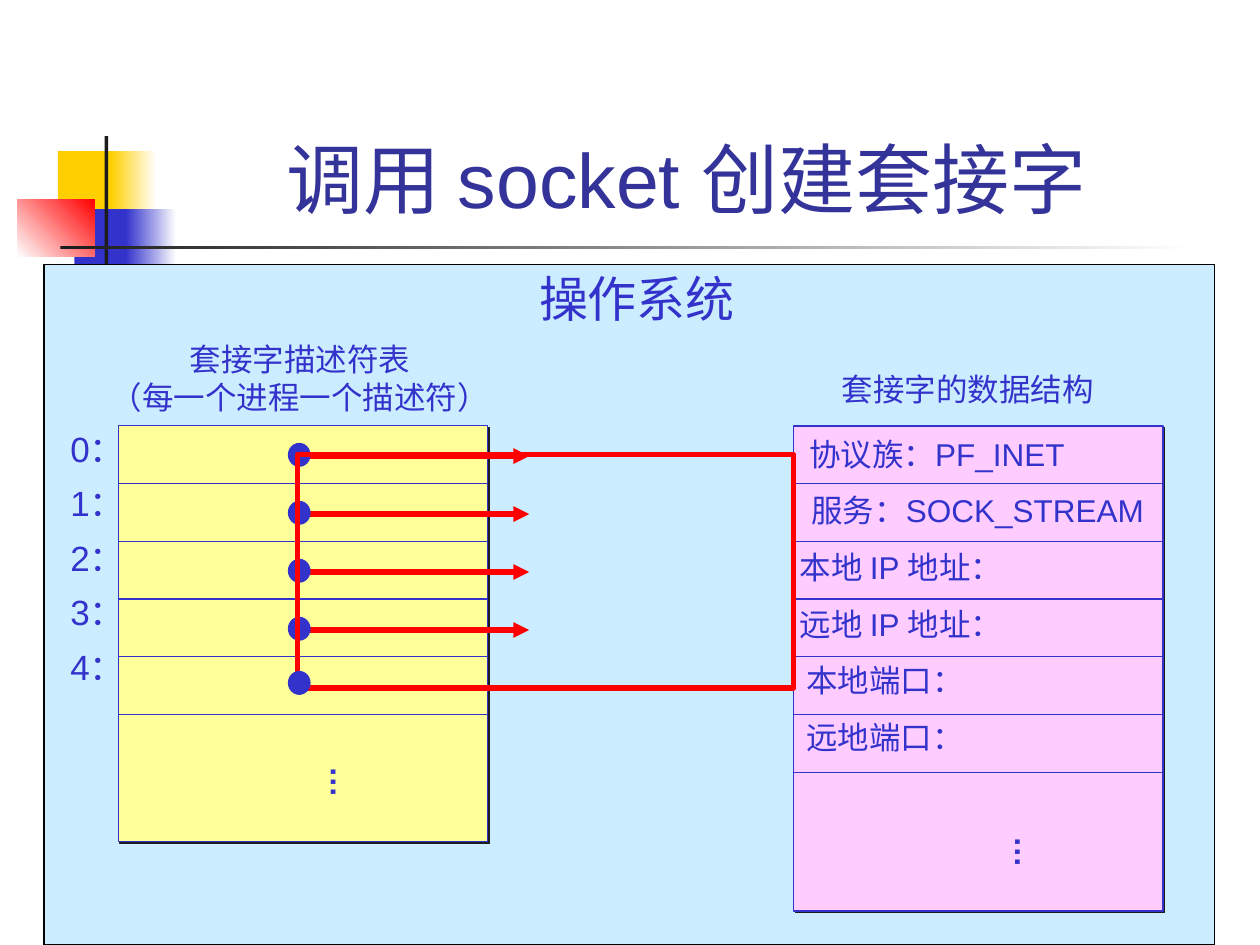
import pptx
import pptx.dml.color
import pptx.enum.shapes
import pptx.enum.text
import pptx.oxml
import pptx.oxml.ns
import pptx.util
from dataclasses import dataclass

Inches = pptx.util.Inches
Pt = pptx.util.Pt
Shapes = pptx.enum.shapes.MSO_SHAPE
Align = pptx.enum.text.PP_ALIGN
Anchor = pptx.enum.text.MSO_ANCHOR
AutoSize = pptx.enum.text.MSO_AUTO_SIZE
NS = pptx.oxml.ns.nsdecls("a")


@dataclass(frozen=True)
class Theme:
    font: str = "Arial"
    white: str = "FFFFFF"
    black: str = "000000"
    dark: str = "1C1C1C"
    gold: str = "FFCF01"
    blue: str = "3333CC"
    title: str = "333399"
    red: str = "FF0000"
    system: str = "CCECFF"
    table: str = "FFFF99"
    structure: str = "FFCCFF"
    title_size: int = 44
    heading_size: int = 28
    index_size: int = 20
    body_size: int = 18
    thin: float = 0.75
    thick: float = 3


def rgb(value):
    return pptx.dml.color.RGBColor.from_string(value)


class Painter:
    def __init__(self, page, theme):
        self.page = page
        self.theme = theme

    def shape(self, left, top, width, height, fill=None, line=None,
              weight=None, kind=Shapes.RECTANGLE):
        item = self.page.shapes.add_shape(
            kind, Inches(left), Inches(top), Inches(width), Inches(height))
        item.shadow.inherit = False
        if fill:
            item.fill.solid()
            item.fill.fore_color.rgb = rgb(fill)
        else:
            item.fill.background()
        if line:
            item.line.color.rgb = rgb(line)
            item.line.width = Pt(weight or self.theme.thin)
        else:
            item.line.fill.background()
        return item

    def fade(self, left, top, width, height, start, end, angle=0):
        """Rectangle with a gradient; the angle runs counter-clockwise."""
        item = self.shape(left, top, width, height)
        item.fill.gradient()
        item.fill.gradient_angle = angle
        for stop, color in zip(item.fill.gradient_stops, (start, end)):
            stop.color.rgb = rgb(color)

    def panel(self, left, top, width, height, fill):
        """Outlined block with a hard offset shadow."""
        item = self.shape(left, top, width, height, fill, self.theme.blue)
        effects = item._element.spPr.find(pptx.oxml.ns.qn("a:effectLst"))
        effects.append(pptx.oxml.parse_xml(
            f'<a:outerShdw {NS} blurRad="0" dist="{Pt(1.4)}" dir="2700000" '
            f'algn="ctr" rotWithShape="0"><a:srgbClr val="{self.theme.dark}"/>'
            '</a:outerShdw>'))

    def dot(self, left, top):
        self.shape(left, top, 0.17, 0.18, self.theme.blue, self.theme.blue,
                   kind=Shapes.OVAL)

    def line(self, left, right, height, color, weight, arrow=False):
        """Horizontal line at the given height."""
        item = self.page.shapes.add_connector(
            pptx.enum.shapes.MSO_CONNECTOR.STRAIGHT,
            Inches(left), Inches(height), Inches(right), Inches(height))
        item.line.color.rgb = rgb(color)
        item.line.width = Pt(weight)
        if arrow:
            item.line._get_or_add_ln().append(
                pptx.oxml.parse_xml(f'<a:tailEnd {NS} type="triangle"/>'))
        item._element.spPr.append(pptx.oxml.parse_xml(f"<a:effectLst {NS}/>"))

    def text(self, left, top, width, height, lines, size=None, color=None,
             align=Align.CENTER, spacing=None, bold=None, rotation=0,
             wrap=False, anchor=Anchor.TOP):
        box = self.page.shapes.add_textbox(
            Inches(left), Inches(top), Inches(width), Inches(height))
        box.rotation = rotation
        frame = box.text_frame
        frame.word_wrap = wrap
        frame.auto_size = AutoSize.NONE if wrap else AutoSize.SHAPE_TO_FIT_TEXT
        frame.vertical_anchor = anchor
        for number, words in enumerate(lines):
            para = frame.add_paragraph() if number else frame.paragraphs[0]
            para.alignment = align
            para.line_spacing = spacing
            span = para.add_run()
            span.text = words
            span.font.name = self.theme.font
            span.font.size = Pt(size or self.theme.body_size)
            span.font.bold = bold
            span.font.color.rgb = rgb(color or self.theme.blue)


def draw_decoration(painter):
    theme = painter.theme
    painter.shape(0.46, 1.2, 0.48, 0.52, theme.gold)
    painter.fade(0.88, 1.2, 0.36, 0.52, theme.gold, theme.white)
    painter.shape(0.59, 1.66, 0.46, 0.52, theme.blue)
    painter.fade(1, 1.66, 0.4, 0.52, theme.blue, theme.white)
    painter.fade(0.14, 1.58, 0.61, 0.46, theme.white, theme.red, 45)
    painter.shape(0.83, 1.08, 0.03, 1.15, theme.dark)
    painter.fade(0.48, 1.95, 9, 0.03, theme.dark, theme.white)


def draw_rows(painter, left, height, fill, dividers):
    """Panel whose first rows share one height, the last taking the rest."""
    top, width, row = 3.38, 2.93, 2.75 / 6
    painter.panel(left, top, width, height, fill)
    for number in range(1, dividers + 1):
        painter.line(left, left + width, top + number * row,
                     painter.theme.blue, painter.theme.thin)


def main():
    deck = pptx.Presentation()
    deck.slide_width, deck.slide_height = Inches(10), Inches(7.5)
    page = deck.slides.add_slide(deck.slide_layouts[6])
    theme = Theme()
    painter = Painter(page, theme)

    draw_decoration(painter)
    painter.shape(0.35, 2.1, 9.29, 5.4, theme.system, theme.black)

    draw_rows(painter, 0.94, 3.3, theme.table, 5)
    painter.text(0.78, 2.65, 3.2, 0.7,
                 ["套接字描述符表", "（每一个进程一个描述符）"])
    painter.text(0.46, 3.24, 0.7, 2.27, [f"{index}：" for index in range(5)],
                 theme.index_size, align=Align.LEFT, spacing=1.3)

    draw_rows(painter, 6.3, 3.85, theme.structure, 6)
    for index in range(4):
        height = 3.62 + index * 0.46
        painter.line(2.36, 4.2, height, theme.red, theme.thick, arrow=True)
        painter.dot(2.29, height - 0.1)

    painter.text(4.18, 2.08, 1.75, 0.57, ["操作系统"], theme.heading_size)
    painter.text(6.58, 2.89, 2.2, 0.4, ["套接字的数据结构"])
    fields = [
        ("协议族：PF_INET", 6.29, 2.29, Align.CENTER),
        ("服务：SOCK_STREAM", 6.31, 2.9, Align.CENTER),
        ("本地 IP 地址：", 6.25, 1.93, Align.LEFT),
        ("远地 IP 地址：", 6.25, 1.93, Align.LEFT),
        ("本地端口：", 6.3, 1.45, Align.LEFT),
        ("远地端口：", 6.3, 1.45, Align.LEFT),
    ]
    for index, (words, left, width, align) in enumerate(fields):
        painter.text(left, 3.4 + index * 0.45, width, 0.4, [words], align=align)
    for left, top in ((2.5, 6.01), (7.93, 6.56)):
        painter.text(left, top, 0.45, 0.4, ["…"], bold=True, rotation=90)

    painter.shape(2.36, 3.61, 3.94, 1.85, line=theme.red, weight=theme.thick)
    painter.dot(2.29, 5.33)
    painter.text(1.26, 0.23, 8.52, 1.6, ["调用 socket 创建套接字 "],
                 theme.title_size, theme.title, wrap=True, anchor=Anchor.BOTTOM)

    deck.save("out.pptx")


if __name__ == "__main__":
    main()
